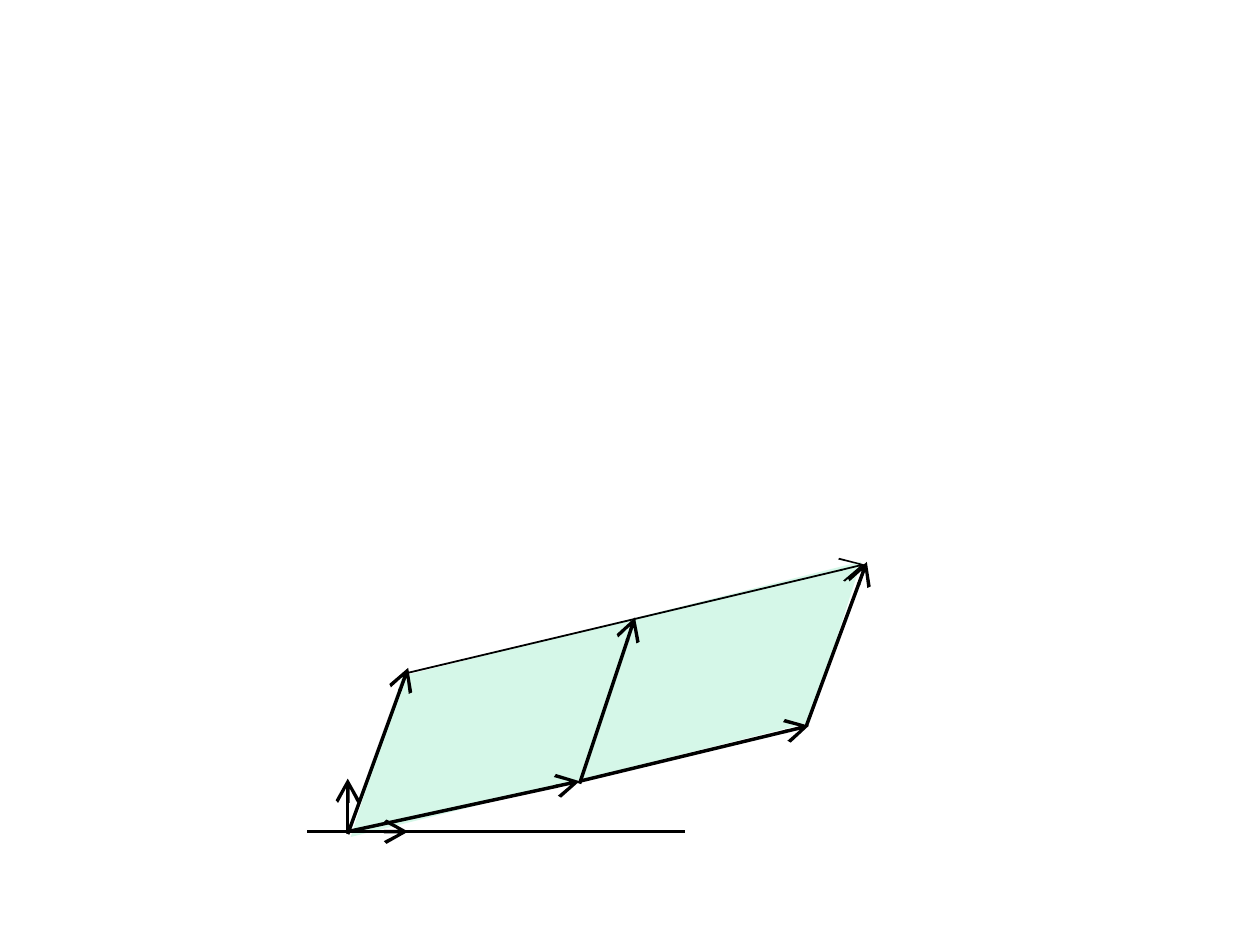
from lxml import etree
from pptx import Presentation
from pptx.dml.color import RGBColor
from pptx.enum.shapes import MSO_CONNECTOR, MSO_SHAPE
from pptx.oxml.ns import qn
from pptx.util import Inches, Pt

STRAIGHT = MSO_CONNECTOR.STRAIGHT
PARALLELOGRAM = MSO_SHAPE.PARALLELOGRAM
COLORS = {"ink": "000000", "area": "AAEFD1"}
WIDTH, HEIGHT = Inches(5), Inches(3.75)
COLS, ROWS = 500, 375

ORIGIN = (138, 330)
UNIT_VECTORS = [(162, 330), (138, 309)]
BASE_VECTORS = [(ORIGIN, (230, 310)), ((230, 310), (321, 288))]
SIDE_VECTORS = [
    ((138, 331), (162, 265)),
    ((230, 311), (252, 245)),
    ((320, 288), (344, 223)),
]


def x(col):
    """Return the horizontal position of a grid column."""
    return round(WIDTH * col / COLS)


def y(row):
    """Return the vertical position of a grid row."""
    return round(HEIGHT * row / ROWS)


def add_area(s, left, top, width, height, rotation, skew, opacity):
    """Add a rotated, translucent parallelogram without an outline."""
    sp = s.shapes.add_shape(PARALLELOGRAM, x(left), y(top), x(width), y(height))
    sp.shadow.inherit = False
    sp.rotation = rotation
    sp.adjustments[0] = skew
    sp.fill.solid()
    sp.fill.fore_color.rgb = RGBColor.from_string(COLORS["area"])
    color = sp.fill._xPr.find(qn("a:solidFill"))[0]
    etree.SubElement(color, qn("a:alpha"), val=str(opacity * 1000))
    sp.line.fill.background()


def add_line(s, start, end, weight=1, arrow=True):
    """Add a straight line between two grid points, with an open arrowhead if asked."""
    cxn = s.shapes.add_connector(STRAIGHT, x(start[0]), y(start[1]), x(end[0]), y(end[1]))
    cxn.line.width = Pt(weight)
    cxn.line.color.rgb = RGBColor.from_string(COLORS["ink"])
    if arrow:
        etree.SubElement(cxn.line._get_or_add_ln(), qn("a:tailEnd"), type="arrow")
    etree.SubElement(cxn._element.spPr, qn("a:effectLst"))


def main():
    """Build the slide of two adjoining parallelograms spanned by vectors."""
    prs = Presentation()
    prs.slide_width, prs.slide_height = WIDTH, HEIGHT
    s = prs.slides.add_slide(prs.slide_layouts[6])
    add_area(s, 129, 249, 223, 57, rotation=346, skew=0.62, opacity=49)
    add_line(s, (122, 330), (272, 330), arrow=False)
    add_line(s, (162, 267), (343, 224), weight=0.5)
    for tip in UNIT_VECTORS:
        add_line(s, ORIGIN, tip)
    for start, end in BASE_VECTORS + SIDE_VECTORS:
        add_line(s, start, end)
    prs.save("out.pptx")


if __name__ == "__main__":
    main()
